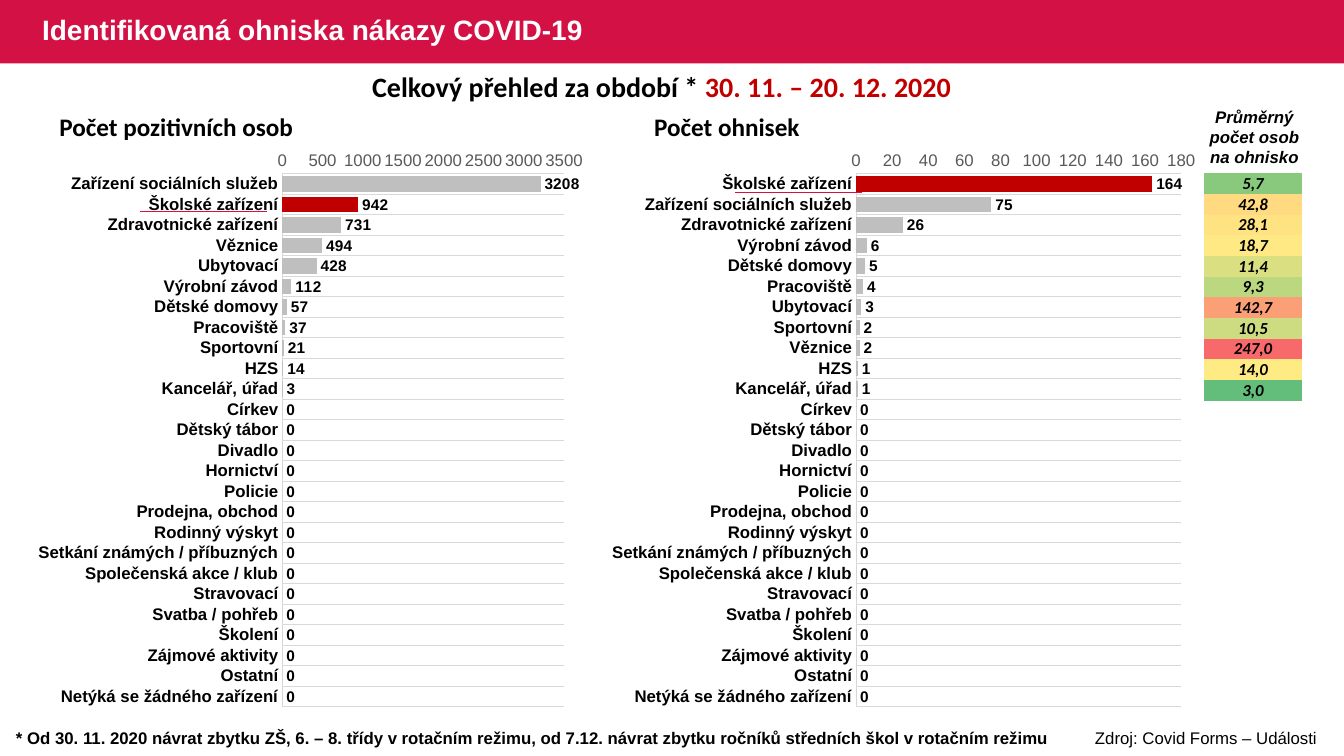
from lxml import etree
from pptx import Presentation
from pptx.chart.data import CategoryChartData
from pptx.dml.color import RGBColor
from pptx.enum.chart import XL_CHART_TYPE, XL_LABEL_POSITION, XL_TICK_MARK
from pptx.enum.shapes import MSO_CONNECTOR, MSO_SHAPE
from pptx.enum.text import MSO_ANCHOR, MSO_AUTO_SIZE, PP_ALIGN
from pptx.oxml import parse_xml
from pptx.oxml.ns import nsdecls, qn
from pptx.util import Pt

BAR = XL_CHART_TYPE.BAR_CLUSTERED
OUTSIDE_END = XL_LABEL_POSITION.OUTSIDE_END
NO_TICK = XL_TICK_MARK.NONE
STRAIGHT = MSO_CONNECTOR.STRAIGHT
RECTANGLE = MSO_SHAPE.RECTANGLE
TOP, MIDDLE = MSO_ANCHOR.TOP, MSO_ANCHOR.MIDDLE
LEFT, CENTER = PP_ALIGN.LEFT, PP_ALIGN.CENTER
GROW = MSO_AUTO_SIZE.SHAPE_TO_FIT_TEXT

CRIMSON, RED, BLACK, WHITE = "D31145", "C00000", "000000", "FFFFFF"
BAR_GRAY, GRID_GRAY, TICK_GRAY = "BFBFBF", "D9D9D9", "595959"
PLAIN_TABLE = "{2D5ABB26-0587-4C30-8999-92F81FD0307C}"

# Facility types: the leading ones differ in order, the rest are shared
SCHOOLS = "Školské zařízení"
REST = ["HZS", "Kancelář, úřad", "Církev", "Dětský tábor", "Divadlo", "Hornictví",
        "Policie", "Prodejna, obchod", "Rodinný výskyt",
        "Setkání známých / příbuzných", "Společenská akce / klub", "Stravovací",
        "Svatba / pohřeb", "Školení", "Zájmové aktivity", "Ostatní",
        "Netýká se žádného zařízení"]
PEOPLE_TYPES = ["Zařízení sociálních služeb", SCHOOLS, "Zdravotnické zařízení",
                "Věznice", "Ubytovací", "Výrobní závod", "Dětské domovy",
                "Pracoviště", "Sportovní"] + REST
OUTBREAK_TYPES = [SCHOOLS, "Zařízení sociálních služeb", "Zdravotnické zařízení",
                  "Výrobní závod", "Dětské domovy", "Pracoviště", "Ubytovací",
                  "Sportovní", "Věznice"] + REST
PEOPLE = [3208, 942, 731, 494, 428, 112, 57, 37, 21, 14, 3] + [0] * 15
OUTBREAKS = [164, 75, 26, 6, 5, 4, 3, 2, 2, 1, 1] + [0] * 15
AVERAGES = [("5,7", "89C97D"), ("42,8", "FFDA81"), ("28,1", "FFE383"),
            ("18,7", "FFE984"), ("11,4", "DAE081"), ("9,3", "BBD780"),
            ("142,7", "FB9F76"), ("10,5", "CDDC81"), ("247,0", "F8696B"),
            ("14,0", "FFEB84"), ("3,0", "63BE7B")]


def color(value):
    return RGBColor.from_string(value)


class SlideBuilder:
    def __init__(self, slide, font="Arial"):
        self.slide = slide
        self.font = font

    def style_font(self, font, size, ink=BLACK, bold=False, italic=False, name=None):
        font.name = name or self.font
        font.size = Pt(size)
        font.bold = bold
        font.italic = italic
        font.color.rgb = color(ink)

    def rectangle(self, left, top, width, height, fill):
        shape = self.slide.shapes.add_shape(
            RECTANGLE, Pt(left), Pt(top), Pt(width), Pt(height))
        shape.shadow.inherit = False
        shape.fill.solid()
        shape.fill.fore_color.rgb = color(fill)
        shape.line.fill.background()

    def text(self, left, top, width, height, runs, size, align=LEFT, anchor=TOP,
             wrap=True, spacing=None, **style):
        """Each run is a pair of wording and colour."""
        shape = self.slide.shapes.add_textbox(Pt(left), Pt(top), Pt(width), Pt(height))
        frame = shape.text_frame
        frame.word_wrap = wrap
        frame.vertical_anchor = anchor
        if anchor == TOP:
            frame.auto_size = GROW
        paragraph = frame.paragraphs[0]
        paragraph.alignment = align
        if spacing:
            paragraph.line_spacing = spacing
        for wording, ink in runs:
            run = paragraph.add_run()
            run.text = wording
            self.style_font(run.font, size, ink, **style)

    def underline(self, left, top, width):
        line = self.slide.shapes.add_connector(
            STRAIGHT, Pt(left), Pt(top), Pt(left + width), Pt(top))
        line.line.color.rgb = color(CRIMSON)
        line.line.width = Pt(1)
        etree.SubElement(line._element.spPr, qn("a:effectLst"))

    def bar_chart(self, left, top, width, height, types, values, maximum, step, plot):
        data = CategoryChartData()
        data.categories = types
        data.add_series("Series 1", values)
        chart = self.slide.shapes.add_chart(
            BAR, Pt(left), Pt(top), Pt(width), Pt(height), data).chart
        chart.has_legend = False
        chart.has_title = False
        self.style_font(chart.font, 10)

        # Axes
        category_axis, value_axis = chart.category_axis, chart.value_axis
        category_axis.reverse_order = True
        category_axis.has_major_gridlines = True
        for line in (category_axis.format.line, category_axis.major_gridlines.format.line):
            line.color.rgb = color(GRID_GRAY)
            line.width = Pt(0.75)
        value_axis.has_major_gridlines = False
        value_axis.minimum_scale = 0
        value_axis.maximum_scale = maximum
        value_axis.major_unit = step
        value_axis.format.line.fill.background()
        for axis in (category_axis, value_axis):
            axis.major_tick_mark = axis.minor_tick_mark = NO_TICK
        self.style_font(category_axis.tick_labels.font, 12, bold=True)
        self.style_font(value_axis.tick_labels.font, 12, TICK_GRAY)

        # Bars, with schools highlighted
        bars = chart.plots[0]
        bars.gap_width = 30
        bars.overlap = 100
        bars.vary_by_categories = False
        series = bars.series[0]
        school_bar = series.points[types.index(SCHOOLS)]
        for item, fill in ((series, BAR_GRAY), (school_bar, RED)):
            item.format.fill.solid()
            item.format.fill.fore_color.rgb = color(fill)
        labels = series.data_labels
        labels.show_value = True
        labels.position = OUTSIDE_END
        self.style_font(labels.font, 11, bold=True)

        # Fixed inner plot area
        parts = "".join(f'<c:{name} val="{value}"/>'
                        for name, value in zip("xywh", plot))
        layout = parse_xml(
            f'<c:layout {nsdecls("c")}><c:manualLayout><c:layoutTarget val="inner"/>'
            f'<c:xMode val="edge"/><c:yMode val="edge"/>{parts}'
            '</c:manualLayout></c:layout>')
        plot_area = chart._chartSpace.chart.plotArea
        for old_layout in plot_area.findall(qn("c:layout")):
            plot_area.remove(old_layout)
        plot_area.insert(0, layout)

    def heat_column(self, left, top, width, height, rows, cells):
        table = self.slide.shapes.add_table(
            rows, 1, Pt(left), Pt(top), Pt(width), Pt(height)).table
        table.first_row = table.horz_banding = False
        table._tbl.tblPr.find(qn("a:tableStyleId")).text = PLAIN_TABLE
        for index in range(rows):
            table.rows[index].height = Pt(height / rows)
            cell = table.cell(index, 0)
            cell.margin_left = cell.margin_right = Pt(0.7)
            cell.margin_top = cell.margin_bottom = 0
            cell.vertical_anchor = MIDDLE
            paragraph = cell.text_frame.paragraphs[0]
            paragraph.alignment = CENTER
            if index < len(cells):
                wording, fill = cells[index]
                cell.fill.solid()
                cell.fill.fore_color.rgb = color(fill)
                run = paragraph.add_run()
                run.text = wording
                self.style_font(run.font, 12, bold=True, italic=True, name="Calibri")
            else:
                cell.fill.background()
                etree.SubElement(paragraph._p, qn("a:endParaRPr"), sz="1200")


def main():
    presentation = Presentation()
    presentation.slide_width, presentation.slide_height = Pt(960), Pt(540)
    slide = presentation.slides.add_slide(presentation.slide_layouts[6])
    builder = SlideBuilder(slide)

    # Title band
    builder.rectangle(0, 0, 960, 45.3, CRIMSON)
    builder.text(23, 0, 613.4, 45.3, [("Identifikovaná ohniska nákazy COVID-19", WHITE)],
                 20, anchor=MIDDLE, spacing=0.9, bold=True)

    # Two charts, each with a heading and a line under the schools label
    panels = [
        (0, 35.3, "Počet pozitivních osob", PEOPLE_TYPES, PEOPLE, 3500, 500,
         (0.474, 0.063, 0.473, 0.917), 100.1, 151.2),
        (434.9, 460.1, "Počet ohnisek", OUTBREAK_TYPES, OUTBREAKS, 180, 20,
         (0.415, 0.063, 0.546, 0.917), 524.9, 137.4),
    ]
    for (left, heading_left, heading, types, values, maximum, step, plot,
         line_left, line_top) in panels:
        builder.bar_chart(left, 97.9, 425.5, 415.4, types, values, maximum, step, plot)
        builder.text(heading_left, 76.3, 279.4, 29.1, [(heading, BLACK)], 18,
                     bold=True, name="Calibri")
        builder.underline(line_left, line_top, 90.7)

    # Period
    builder.text(227.5, 46.1, 490.3, 31.5,
                 [("Celkový přehled za období * ", BLACK), ("30. 11. – 20. 12. 2020", RED)],
                 20, align=CENTER, bold=True, name="Calibri")

    # Average people per outbreak
    builder.text(854.6, 72.7, 82.8, 51, [("Průměrný počet osob na ohnisko", BLACK)], 12,
                 align=CENTER, bold=True, italic=True)
    builder.heat_column(859.7, 123.8, 70.6, 384.5, len(OUTBREAK_TYPES), AVERAGES)

    # Footnote and source
    builder.text(4.3, 516.2, 764.6, 21.8,
                 [("* Od 30. 11. 2020 návrat zbytku ZŠ, 6. – 8. třídy v rotačním režimu, "
                   "od 7.12. návrat zbytku ročníků středních škol v rotačním režimu", BLACK)],
                 12, wrap=False, bold=True)
    builder.text(765.4, 516.2, 192.2, 21.8, [("Zdroj: Covid Forms – Události", BLACK)],
                 12, align=CENTER)

    presentation.save("out.pptx")


if __name__ == "__main__":
    main()
